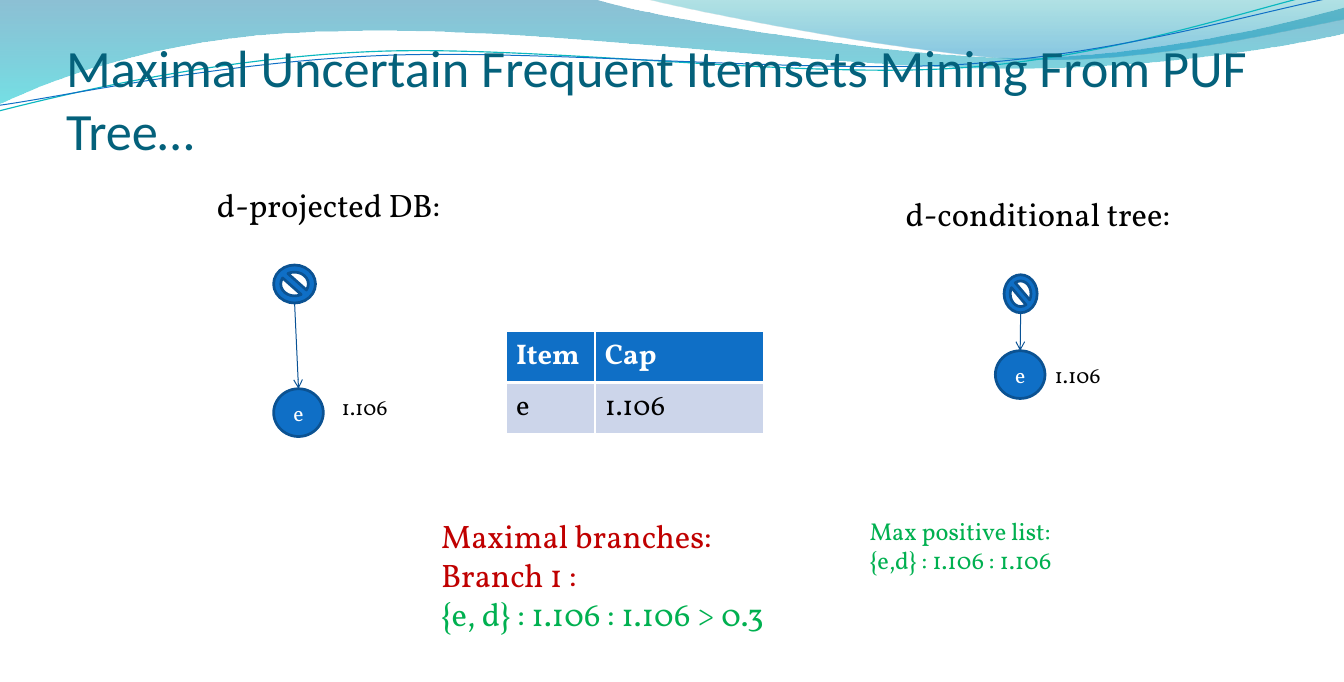
import math

from lxml import etree
from pptx import Presentation
from pptx.dml.color import RGBColor
from pptx.enum import shapes, text
from pptx.oxml import parse_xml
from pptx.oxml.ns import qn
from pptx.util import Inches, Pt

NS = 'xmlns:a="http://schemas.openxmlformats.org/drawingml/2006/main"'
BLUE, EDGE, GREEN, RED = "0F6FC6", "0B5292", "00B050", "C00000"


def rgb(value):
    return RGBColor.from_string(value)


def write(tf, lines, size=24, color="000000", font="Vollkorn", bold=False,
          align=text.PP_ALIGN.LEFT):
    """Fill a text frame; a line is a string or a (string, colour) pair."""
    tf.word_wrap = True
    for i, line in enumerate(lines):
        words, tint = (line, color) if isinstance(line, str) else line
        p = tf.paragraphs[0] if i == 0 else tf.add_paragraph()
        p.alignment = align
        r = p.add_run()
        r.text = words
        r.font.name, r.font.size, r.font.bold = font, Pt(size), bold
        r.font.color.rgb = rgb(tint)


def add_label(s, box, lines, **fmt):
    sp = s.shapes.add_textbox(*map(Inches, box))
    write(sp.text_frame, lines, **fmt)


def add_path(s, start, segments, closed):
    """Outline whose segments hold one point (line) or three (Bezier curve)."""
    builder = s.shapes.build_freeform(*map(Inches, start))
    builder.add_line_segments(
        [tuple(map(Inches, pt)) for seg in segments for pt in seg], close=closed)
    sp = builder.convert_to_shape()
    sp.shadow.inherit = False
    lines = iter(list(sp._element.spPr.iter(qn("a:lnTo"))))
    for seg in segments:
        group = [next(lines) for _ in seg]
        if len(group) == 3:
            bezier = etree.Element(qn("a:cubicBezTo"))
            group[0].addprevious(bezier)
            for line in group:
                bezier.append(line[0])
                line.getparent().remove(line)
    return sp


def add_wave(s, start, segments, stops):
    """Band with a downward gradient of (position, colour, opacity) stops."""
    sp = add_path(s, start, segments, True)
    sp.line.fill.background()
    sp.fill.background()
    stops_xml = "".join(
        f'<a:gs pos="{pos * 1000}"><a:srgbClr val="{color}">'
        f'<a:alpha val="{alpha * 1000}"/></a:srgbClr></a:gs>'
        for pos, color, alpha in stops)
    old = sp._element.spPr.find(qn("a:noFill"))
    old.getparent().replace(old, parse_xml(
        f'<a:gradFill {NS} rotWithShape="1"><a:gsLst>{stops_xml}</a:gsLst>'
        '<a:lin ang="5400000" scaled="0"/></a:gradFill>'))


def add_strand(group, start, segments, color, width, tilt=2.7):
    """Thin curve, laid level and then tilted back by the shape's rotation."""
    cx, cy = 6.9, 0.54
    cos, sin = math.cos(math.radians(tilt)), math.sin(math.radians(tilt))

    def level(pt):
        dx, dy = pt[0] - cx, pt[1] - cy
        return cx + dx * cos - dy * sin, cy + dx * sin + dy * cos

    sp = add_path(group, level(start),
                  [[level(pt) for pt in seg] for seg in segments], False)
    sp.rotation = -tilt
    sp.fill.background()
    sp.line.color.rgb, sp.line.width = rgb(color), Pt(width)


def add_header_waves(s):
    add_wave(s, (0, 0), [
        [(6.08, -0.01)],
        [(6.56, 0.16), (9.16, 0.59), (10.47, 0.59)],
        [(11.77, 0.59), (13.23, 0.24), (13.8, 0.08)],
        [(13.81, 0.34)],
        [(13.57, 0.41), (12, 0.71), (10.29, 0.7)],
        [(8.58, 0.7), (5.27, 0.26), (3.55, 0.32)],
        [(1.78, 0.33), (0.63, 0.77), (-0.01, 1.06)],
    ], [(0, "0074A1", 45), (100, "00C6CF", 55)])
    add_wave(s, (6.61, -0.01), [
        [(7.03, 0.1), (9.41, 0.58), (10.61, 0.61)],
        [(11.81, 0.64), (13.27, 0.3), (13.8, 0.2)],
        [(13.8, 0)],
    ], [(0, "00A1A9", 30), (80, "008BBF", 45)])
    group = s.shapes.add_group_shape()
    add_strand(group, (-0.01, 1.14), [
        [(0.66, 0.97), (2.18, 0.6), (3.82, 0.53)],
        [(5.46, 0.46), (8.17, 0.81), (9.83, 0.7)],
        [(11.49, 0.59), (12.95, 0.05), (13.78, -0.12)],
    ], "0AB8BF", 0.85)
    add_strand(group, (0, 1.08), [
        [(0.65, 0.99), (2.26, 0.64), (3.91, 0.57)],
        [(5.56, 0.5), (8.24, 0.76), (9.89, 0.66)],
        [(11.54, 0.55), (12.99, 0.1), (13.81, -0.05)],
    ], BLUE, 0.75)


def place_title(s, box, words):
    sp = s.shapes.title
    s.shapes._spTree.append(sp._element)  # bring in front of the waves
    sp.left, sp.top, sp.width, sp.height = map(Inches, box)
    tf = sp.text_frame
    tf.auto_size = text.MSO_AUTO_SIZE.NONE
    tf.vertical_anchor = text.MSO_ANCHOR.BOTTOM
    tf.margin_left = tf.margin_right = tf.margin_bottom = 0
    tf.margin_top = Inches(0.04)
    write(tf, [words], size=38.7, color="04617B", font="Calibri")


def add_node(s, kind, box):
    sp = s.shapes.add_shape(kind, *map(Inches, box))
    sp.shadow.inherit = False
    sp.fill.solid()
    sp.fill.fore_color.rgb = rgb(BLUE)
    sp.line.color.rgb, sp.line.width = rgb(EDGE), Pt(2)
    return sp


def add_arrow(s, start, end):
    c = s.shapes.add_connector(shapes.MSO_CONNECTOR.STRAIGHT,
                               *map(Inches, start + end))
    c.line.color.rgb, c.line.width = rgb("095295"), Pt(0.75)
    etree.SubElement(c.line._get_or_add_ln(), qn("a:tailEnd"), type="arrow")
    etree.SubElement(c._element.spPr, qn("a:effectLst"))


def add_tree(s, root, leaf, count):
    """Null root linked to leaf e, with the count beside the leaf."""
    x, y, w, h = root
    add_node(s, shapes.MSO_SHAPE.NO_SYMBOL, root)
    lx, ly, lw, lh = leaf
    sp = add_node(s, shapes.MSO_SHAPE.OVAL, leaf)
    sp.text_frame.vertical_anchor = text.MSO_ANCHOR.MIDDLE
    write(sp.text_frame, ["e"], size=16, color="FFFFFF",
          align=text.PP_ALIGN.CENTER)
    add_arrow(s, (x + w / 2, y + h), (lx + lw / 2, ly))
    add_label(s, count, ["1.106"], size=16)


def set_borders(cell, widths):
    """Draw white borders in the order left, right, top, bottom."""
    tc_pr = cell._tc.get_or_add_tcPr()
    for i, (side, width) in enumerate(zip("LRTB", widths)):
        tc_pr.insert(i, parse_xml(
            f'<a:ln{side} {NS} w="{Pt(width)}"><a:solidFill>'
            f'<a:srgbClr val="FFFFFF"/></a:solidFill></a:ln{side}>'))


def add_cap_table(s, box, rows, col_widths):
    table = s.shapes.add_table(len(rows), len(col_widths),
                               *map(Inches, box)).table
    for column, width in zip(table.columns, col_widths):
        column.width = Inches(width)
    for i, row in enumerate(rows):
        head = i == 0
        for j, words in enumerate(row):
            cell = table.cell(i, j)
            cell.margin_left = cell.margin_right = Inches(0.1)
            cell.margin_top = cell.margin_bottom = Inches(0.06)
            cell.fill.solid()
            cell.fill.fore_color.rgb = rgb(BLUE if head else "CCD5EA")
            set_borders(cell, (1, 1, 1, 3) if head else (1, 1, 3, 1))
            write(cell.text_frame, [words], size=21, bold=head,
                  color="FFFFFF" if head else "000000")


def main():
    prs = Presentation()
    prs.slide_width, prs.slide_height = Inches(13.8), Inches(7)
    s = prs.slides.add_slide(prs.slide_layouts[5])
    add_header_waves(s)
    place_title(s, (0.68, 0.48, 12.42, 1.17),
                "Maximal Uncertain Frequent Itemsets Mining From PUF Tree…")
    add_cap_table(s, (5.2, 3.4, 2.64, 0.95),
                  [("Item", "Cap"), ("e", "1.106")], (0.91, 1.73))
    add_label(s, (2.13, 1.85, 2.9, 0.5), ["d-projected DB:"])
    add_tree(s, (2.81, 2.72, 0.43, 0.39), (2.81, 3.99, 0.51, 0.49),
             (3.41, 3.99, 0.85, 0.37))
    add_label(s, (9.2, 1.94, 3.07, 0.5), ["d-conditional tree:"])
    add_tree(s, (10.31, 2.82, 0.34, 0.39), (10.22, 3.6, 0.51, 0.49),
             (10.73, 3.67, 1.19, 0.37))
    add_label(s, (4.43, 5.25, 5.28, 1.31),
              ["Maximal branches:", "Branch 1 :",
               ("{e, d} : 1.106 : 1.106 > 0.3", GREEN)], color=RED)
    add_label(s, (8.83, 5.25, 3.41, 0.71),
              ["Max positive list:", "{e,d} : 1.106 : 1.106"],
              size=18, color=GREEN)
    prs.save("out.pptx")


if __name__ == "__main__":
    main()
